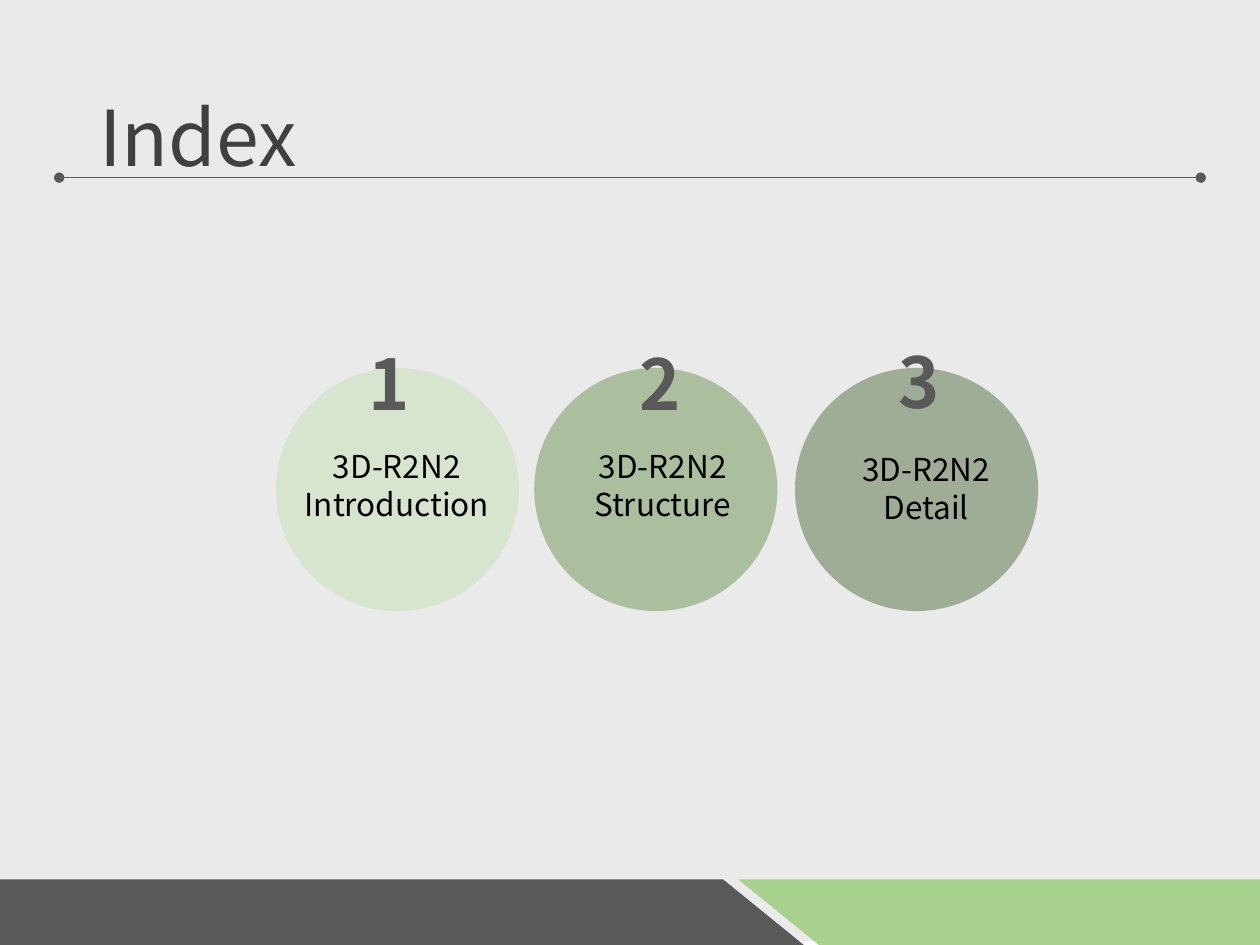
"""Build the index slide with three numbered topic circles."""
from lxml.etree import SubElement
from pptx import Presentation
from pptx.dml.color import RGBColor
from pptx.enum.shapes import MSO_CONNECTOR, MSO_SHAPE
from pptx.enum.text import MSO_ANCHOR, PP_ALIGN
from pptx.oxml.ns import qn
from pptx.util import Inches, Pt

FONT = "Noto Sans CJK KR"
COLORS = {
    "page": "EAEAEA", "title": "404040", "dark": "595959", "text": "000000",
    "green": "A9D18E", "pale": "C5E0B4", "mid": "548235", "deep": "385723",
}
TITLE = "Index"
TOPICS = [
    {"lines": ["3D-R2N2", "Introduction"], "fill": ("pale", 51), "circle": 2.19,
     "number": (2.83, 2.65), "label": (2.28, 3.5, 1.74)},
    {"lines": ["3D-R2N2", "Structure"], "fill": ("mid", 42), "circle": 4.24,
     "number": (4.98, 2.65), "label": (4.24, 3.5, 2.04)},
    {"lines": ["3D-R2N2", "Detail"], "fill": ("deep", 42), "circle": 6.31,
     "number": (7.03, 2.64), "label": (6.33, 3.52, 2.04)},
]
BARS = [
    ("dark", [(-0.08, 6.98), (5.74, 6.98), (6.38, 7.5), (-0.07, 7.5)]),
    ("green", [(12.32, 7.5), (6.5, 7.5), (5.86, 6.98), (12.31, 6.98)]),
]
TITLE_FORMAT = {"size": Pt(44), "name": FONT}
NUMBER_FORMAT = {"size": Pt(40), "name": FONT, "bold": True}
LABEL_FORMAT = {"size": Pt(18), "name": FONT}


def rgb(name):
    return RGBColor.from_string(COLORS[name])


def paint(sp, color, alpha=100):
    sp.shadow.inherit = False
    sp.fill.solid()
    sp.fill.fore_color.rgb = rgb(color)
    sp.line.fill.background()
    if alpha < 100:
        clr = sp.fill._xPr.find(".//" + qn("a:srgbClr"))
        SubElement(clr, qn("a:alpha"), val=str(alpha * 1000))


def add_shape(shapes, kind, box, color, alpha=100):
    sp = shapes.add_shape(kind, *map(Inches, box))
    paint(sp, color, alpha)


def add_text(shapes, box, lines, fmt, color, align=PP_ALIGN.LEFT, spacing=None,
             anchor=MSO_ANCHOR.TOP):
    tf = shapes.add_textbox(*map(Inches, box)).text_frame
    tf.word_wrap = True
    tf.vertical_anchor = anchor
    for i, line in enumerate(lines):
        p = tf.add_paragraph() if i else tf.paragraphs[0]
        p.alignment = align
        p.line_spacing = spacing
        r = p.add_run()
        r.text = line
        for key, value in fmt.items():
            setattr(r.font, key, value)
        r.font.color.rgb = rgb(color)
        SubElement(r.font._element, qn("a:ea"), typeface=FONT)


def add_bar(shapes, color, points):
    start, *rest = [(Inches(x), Inches(y)) for x, y in points]
    builder = shapes.build_freeform(*start)
    builder.add_line_segments(rest, close=True)
    paint(builder.convert_to_shape(), color)


def add_rule(shapes, left, right, y):
    line = shapes.add_connector(MSO_CONNECTOR.STRAIGHT, *map(Inches, (left, y, right, y)))
    line.line.color.rgb = rgb("dark")
    line.line.width = Pt(0.5)
    ln = line.line._get_or_add_ln()
    for end in ("a:headEnd", "a:tailEnd"):
        SubElement(ln, qn(end), type="oval")
    SubElement(line._element.spPr, qn("a:effectLst"))


def add_topic(shapes, number, topic):
    group = shapes.add_group_shape().shapes
    add_shape(group, MSO_SHAPE.OVAL, (topic["circle"], 2.92, 1.93, 1.93), *topic["fill"])
    add_text(group, (*topic["number"], 0.63, 0.77), [str(number)], NUMBER_FORMAT, "dark")
    add_text(group, (*topic["label"], 0.71), topic["lines"], LABEL_FORMAT, "text",
             PP_ALIGN.CENTER)


def main():
    prs = Presentation()
    prs.slide_width, prs.slide_height = Inches(10), Inches(7.5)
    s = prs.slides.add_slide(prs.slide_layouts[6])
    add_shape(s.shapes, MSO_SHAPE.RECTANGLE, (0, -0.03, 10, 7.5), "page")
    add_text(s.shapes, (0.69, 0.4, 8.62, 1.45), [TITLE], TITLE_FORMAT, "title",
             spacing=0.9, anchor=MSO_ANCHOR.MIDDLE)
    add_rule(s.shapes, 0.47, 9.53, 1.41)
    for color, points in BARS:
        add_bar(s.shapes, color, points)
    for number, topic in enumerate(TOPICS, 1):
        add_topic(s.shapes, number, topic)
    prs.save("out.pptx")


if __name__ == "__main__":
    main()
